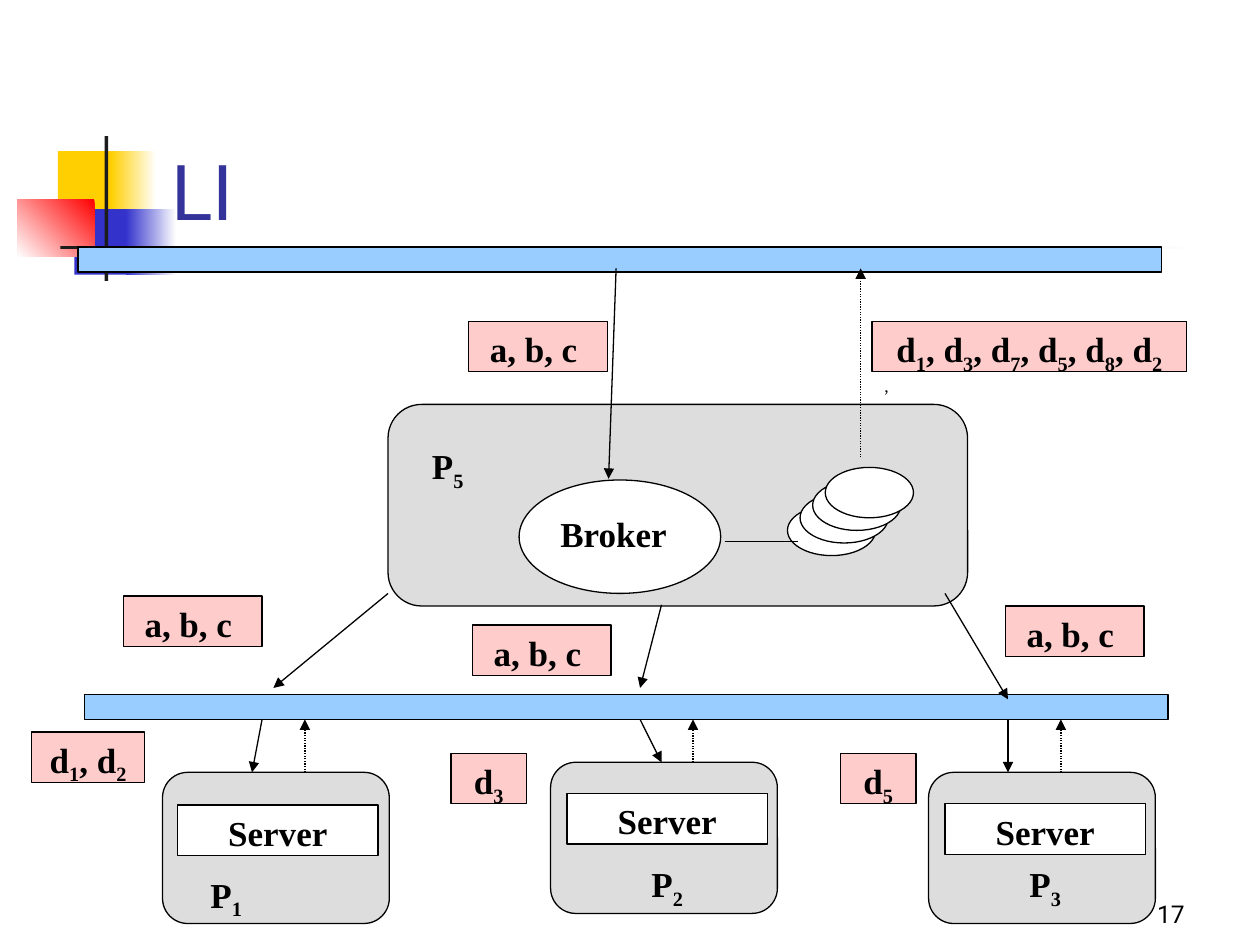
from lxml.etree import SubElement
from pptx import Presentation
from pptx.dml.color import RGBColor
from pptx.enum.dml import MSO_LINE
from pptx.enum.shapes import MSO_CONNECTOR, MSO_SHAPE as SHAPE
from pptx.enum.text import MSO_ANCHOR as ANCHOR, PP_ALIGN as ALIGN
from pptx.oxml.ns import qn
from pptx.util import Inches, Pt

BLACK = RGBColor(0x00, 0x00, 0x00)
WHITE = RGBColor(0xFF, 0xFF, 0xFF)
YELLOW = RGBColor(0xFF, 0xCF, 0x01)
BLUE = RGBColor(0x33, 0x33, 0xCC)
RED = RGBColor(0xFF, 0x00, 0x00)
CHARCOAL = RGBColor(0x1C, 0x1C, 0x1C)
TITLE_BLUE = RGBColor(0x33, 0x33, 0x99)
BAR_BLUE = RGBColor(0x99, 0xCC, 0xFF)
PINK = RGBColor(0xFF, 0xCC, 0xCC)
GREY = RGBColor(0xDD, 0xDD, 0xDD)

SERIF = "Times New Roman"
SANS = "Roboto"


def add_span(para, text, size, bold, color, font, subscript=False):
    span = para.add_run()
    span.text = text
    span.font.size = Pt(size)
    span.font.bold = bold
    span.font.name = font
    span.font.color.rgb = color
    if subscript:
        span._r.get_or_add_rPr().set("baseline", "-25000")


def write(para, text, size=20, bold=True, color=BLACK, font=SERIF, align=ALIGN.CENTER):
    """Fill a paragraph; the character after each underscore is a subscript."""
    para.alignment = align
    style = (size, bold, color, font)
    first, *others = text.split("_")
    add_span(para, first, *style)
    for piece in others:
        add_span(para, piece[0], *style, subscript=True)
        if piece[1:]:
            add_span(para, piece[1:], *style)


def add_block(page, kind, left, top, width, height, fill, outlined=True):
    box = page.shapes.add_shape(
        kind, Inches(left), Inches(top), Inches(width), Inches(height))
    box.shadow.inherit = False
    box.fill.solid()
    box.fill.fore_color.rgb = fill
    if outlined:
        box.line.color.rgb = BLACK
        box.line.width = Pt(0.75)
    else:
        box.line.fill.background()
    return box


def add_fade(page, left, top, width, height, color, angle=0):
    """Rectangle that fades from a colour to white."""
    box = add_block(page, SHAPE.RECTANGLE, left, top, width, height, color, False)
    box.fill.gradient()
    box.fill.gradient_angle = angle
    for stop, shade in zip(box.fill.gradient_stops, (color, WHITE)):
        stop.color.rgb = shade


def add_label(page, text, left, top, width, fill=PINK, height=0.4,
              outlined=True, align=ALIGN.CENTER):
    box = add_block(page, SHAPE.RECTANGLE, left, top, width, height, fill, outlined)
    box.text_frame.vertical_anchor = ANCHOR.TOP
    write(box.text_frame.paragraphs[0], text, align=align)
    return box


def add_text(page, text, left, top, width, height, anchor=ANCHOR.BOTTOM, **style):
    frame = page.shapes.add_textbox(
        Inches(left), Inches(top), Inches(width), Inches(height)).text_frame
    frame.word_wrap = True
    frame.vertical_anchor = anchor
    write(frame.paragraphs[0], text, **style)


def add_line(page, start, end, dotted=False, arrow=True):
    line = page.shapes.add_connector(
        MSO_CONNECTOR.STRAIGHT, *(Inches(value) for value in (*start, *end)))
    line.line.color.rgb = BLACK
    line.line.width = Pt(0.75)
    if dotted:
        line.line.dash_style = MSO_LINE.ROUND_DOT
    if arrow:
        SubElement(line.line._get_or_add_ln(), qn("a:tailEnd"), type="triangle")
    SubElement(line._element.spPr, qn("a:effectLst"))


def add_decoration(page):
    add_block(page, SHAPE.RECTANGLE, 0.46, 1.2, 0.48, 0.52, YELLOW, False)
    add_fade(page, 0.88, 1.2, 0.36, 0.52, YELLOW)
    add_block(page, SHAPE.RECTANGLE, 0.59, 1.66, 0.46, 0.52, BLUE, False)
    add_fade(page, 1, 1.66, 0.4, 0.52, BLUE)
    add_fade(page, 0.14, 1.58, 0.61, 0.46, RED, angle=225)
    add_block(page, SHAPE.RECTANGLE, 0.83, 1.08, 0.03, 1.15, CHARCOAL, False)
    add_fade(page, 0.48, 1.95, 9, 0.03, CHARCOAL)


def add_broker(page):
    add_block(page, SHAPE.ROUNDED_RECTANGLE, 3.08, 3.21, 4.6, 1.6, GREY)
    add_label(page, "P_5", 3.33, 3.48, 0.5, GREY, outlined=False, align=ALIGN.LEFT)
    add_block(page, SHAPE.OVAL, 4.12, 3.81, 1.6, 0.9, WHITE)
    add_label(page, "Broker", 4.32, 4.02, 1.1, WHITE, height=0.5, outlined=False)
    for step in range(4):
        add_block(page, SHAPE.OVAL, 6.25 + step * 0.1, 4.01 - step * 0.1, 0.7, 0.4, WHITE)
    add_line(page, (5.75, 4.3), (6.33, 4.3), arrow=False)


def add_server(page, left, top, server_left, server_top):
    add_block(page, SHAPE.ROUNDED_RECTANGLE, left, top, 1.8, 1.2, GREY)
    add_label(page, "Server", server_left, server_top, 1.59, WHITE)


def main():
    deck = Presentation()
    deck.slide_width, deck.slide_height = Inches(10), Inches(7.5)
    page = deck.slides.add_slide(deck.slide_layouts[6])

    add_decoration(page)
    add_text(page, "LI", 1.26, 0.67, 8.52, 1.25, size=44, bold=False,
             color=TITLE_BLUE, font=SANS, align=ALIGN.LEFT)
    for left, top in ((0.62, 1.96), (0.67, 5.51)):
        add_block(page, SHAPE.RECTANGLE, left, top, 8.6, 0.2, BAR_BLUE)

    results = add_label(page, "d_1, d_3, d_7, d_5, d_8, d_2", 6.92, 2.55, 2.5)
    write(results.text_frame.add_paragraph(), ",", size=10, bold=False, align=ALIGN.LEFT)
    for left, top in ((3.72, 2.55), (0.98, 4.73), (3.75, 4.96), (7.98, 4.81)):
        add_label(page, "a, b, c ", left, top, 1.1)

    add_broker(page)
    for position in ((1.29, 6.13, 1.41, 6.39), (4.37, 6.05, 4.5, 6.3),
                     (7.37, 6.13, 7.5, 6.38)):
        add_server(page, *position)
    add_text(page, "P_1", 1, 6.88, 1.59, 0.4, anchor=ANCHOR.TOP)
    for name, left in (("P_2", 4.5), ("P_3", 7.5)):
        add_label(page, name, left, 6.8, 1.59, GREY, outlined=False)

    requests = (
        ((4.89, 2.13), (4.83, 3.8)),
        ((3.08, 4.71), (2.17, 5.46)),
        ((5.25, 4.8), (5.08, 5.46)),
        ((7.5, 4.71), (8, 5.55)),
        ((2.08, 5.71), (2, 6.13)),
        ((5.08, 5.71), (5.25, 6.05)),
        ((8, 5.71), (8, 6.13)),
    )
    for start, end in requests:
        add_line(page, start, end)
    for x, bottom, top in ((6.83, 3.63, 2.13), (2.42, 6.13, 5.71),
                           (5.5, 6.05, 5.71), (8.42, 6.13, 5.71)):
        add_line(page, (x, bottom), (x, top), dotted=True)

    for text, left, top, width in (("d_1, d_2", 0.25, 5.81, 0.9),
                                   ("d_3", 3.58, 5.98, 0.6),
                                   ("d_5", 6.67, 5.98, 0.6)):
        add_label(page, text, left, top, width)
    add_text(page, "17", 7.42, 6.92, 2.08, 0.5, size=14, bold=False,
             font=SANS, align=ALIGN.RIGHT)

    deck.save("out.pptx")


if __name__ == "__main__":
    main()
